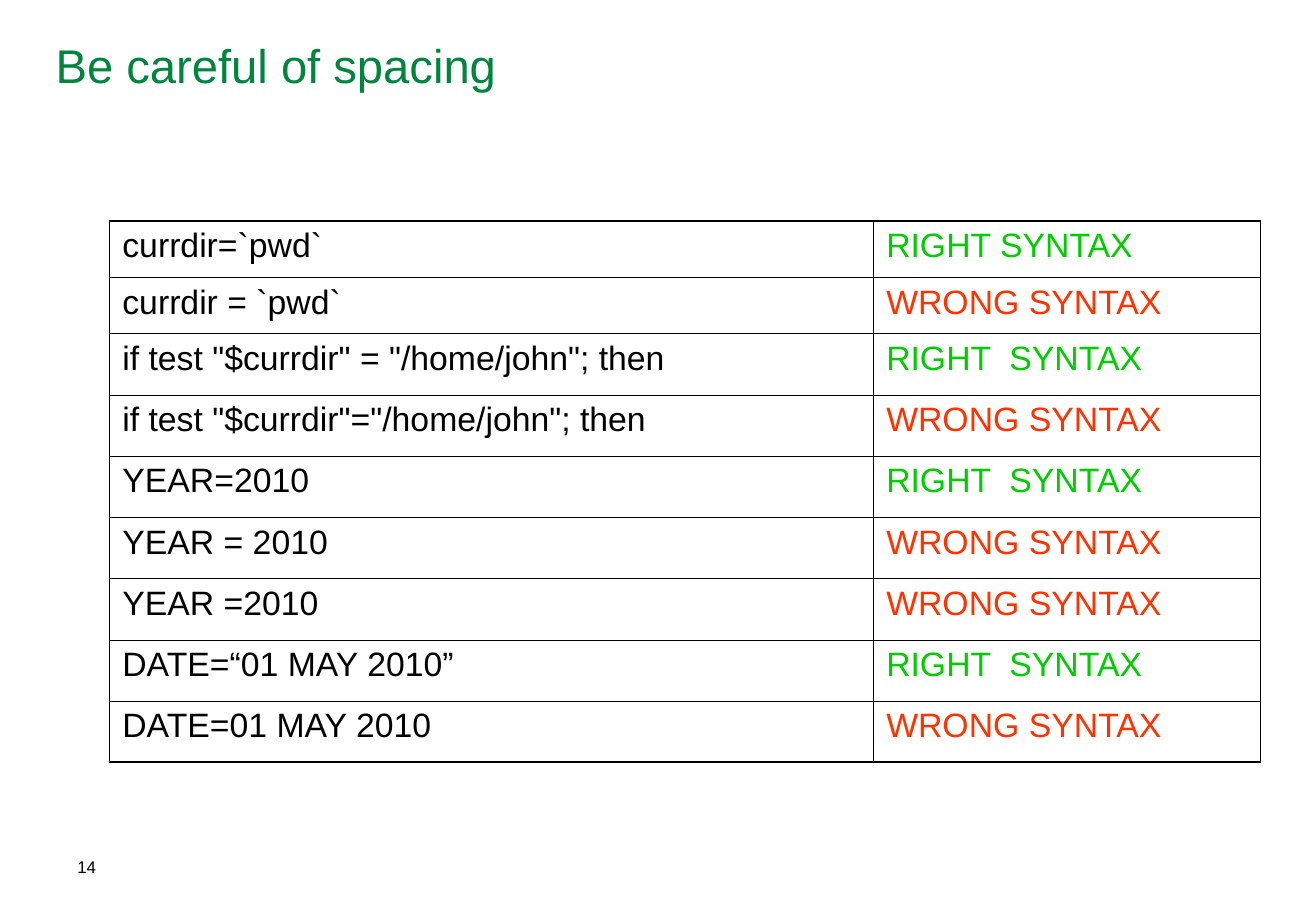
from lxml import etree
from pptx import Presentation
from pptx.dml.color import RGBColor
from pptx.enum.text import MSO_ANCHOR, PP_ALIGN
from pptx.oxml.ns import qn
from pptx.util import Cm, Pt

TOP, LEFT = MSO_ANCHOR.TOP, PP_ALIGN.LEFT

# Content
TITLE = "Be careful of spacing"
PAGE_NUMBER = "14"
EXAMPLES = [
    ("currdir=`pwd`", "RIGHT SYNTAX"),
    ("currdir = `pwd`", "WRONG SYNTAX"),
    ('if test "$currdir" = "/home/john"; then', "RIGHT  SYNTAX"),
    ('if test "$currdir"="/home/john"; then', "WRONG SYNTAX"),
    ("YEAR=2010", "RIGHT  SYNTAX"),
    ("YEAR = 2010", "WRONG SYNTAX"),
    ("YEAR =2010", "WRONG SYNTAX"),
    ("DATE=“01 MAY 2010”", "RIGHT  SYNTAX"),
    ("DATE=01 MAY 2010", "WRONG SYNTAX"),
]

# Look
FONT = "Arial"
BLACK, GREEN = "000000", "00853F"
VERDICT_COLORS = {"RIGHT": "00CC00", "WRONG": "FF3300"}
COLUMN_WIDTHS = [Cm(15.98), Cm(8.1)]
ROW_HEIGHTS = [Cm(1.18)] * 2 + [Cm(1.28)] * 7
OUTER_LINE, INNER_LINE = Pt(1.08), Pt(0.45)


def rgb(color):
    return RGBColor.from_string(color)


def write(frame, text, size=20, color=BLACK, space_before=0):
    frame.word_wrap = True
    frame.vertical_anchor = TOP
    paragraph = frame.paragraphs[0]
    paragraph.alignment = LEFT
    paragraph.space_before = Pt(space_before)
    run = paragraph.add_run()
    run.text = text
    run.font.name = FONT
    run.font.size = Pt(size)
    run.font.color.rgb = rgb(color)


def set_borders(cell, widths):
    """Draw the left, right, top and bottom borders, in that order."""
    properties = cell._tc.get_or_add_tcPr()
    for position, (side, width) in enumerate(zip("LRTB", widths)):
        line = etree.Element(qn(f"a:ln{side}"), w=str(width))
        fill = etree.SubElement(line, qn("a:solidFill"))
        etree.SubElement(fill, qn("a:srgbClr"), val=BLACK)
        properties.insert(position, line)


def line_width(is_outer):
    return OUTER_LINE if is_outer else INNER_LINE


presentation = Presentation()
presentation.slide_width, presentation.slide_height = Cm(27.53), Cm(19.05)
slide = presentation.slides.add_slide(presentation.slide_layouts[5])

# Title
title = slide.shapes.title
title.left, title.top, title.width, title.height = Cm(0.91), Cm(0.64), Cm(25.45), Cm(2.11)
write(title.text_frame, TITLE, size=28, color=GREEN)

# Page number
page_number = slide.shapes.add_textbox(Cm(1.37), Cm(17.78), Cm(1.37), Cm(0.69))
write(page_number.text_frame, PAGE_NUMBER, size=10)

# Table of syntax examples
last_row, last_column = len(EXAMPLES) - 1, len(COLUMN_WIDTHS) - 1
syntax = slide.shapes.add_table(
    len(EXAMPLES), len(COLUMN_WIDTHS), Cm(2.29), Cm(4.62),
    sum(COLUMN_WIDTHS), sum(ROW_HEIGHTS)).table
syntax.first_row = syntax.horz_banding = False
for column, width in zip(syntax.columns, COLUMN_WIDTHS):
    column.width = width
for row, height in zip(syntax.rows, ROW_HEIGHTS):
    row.height = height

for r, (code, verdict) in enumerate(EXAMPLES):
    verdict_color = VERDICT_COLORS[verdict.split()[0]]
    for c, (text, color) in enumerate([(code, BLACK), (verdict, verdict_color)]):
        cell = syntax.cell(r, c)
        cell.margin_left = cell.margin_right = Cm(0.27)
        cell.margin_top = cell.margin_bottom = Cm(0.13)
        cell.vertical_anchor = TOP
        cell.fill.background()
        write(cell.text_frame, text, color=color, space_before=5)
        set_borders(cell, [line_width(c == 0), line_width(c == last_column),
                           line_width(r == 0), line_width(r == last_row)])

presentation.save("out.pptx")
